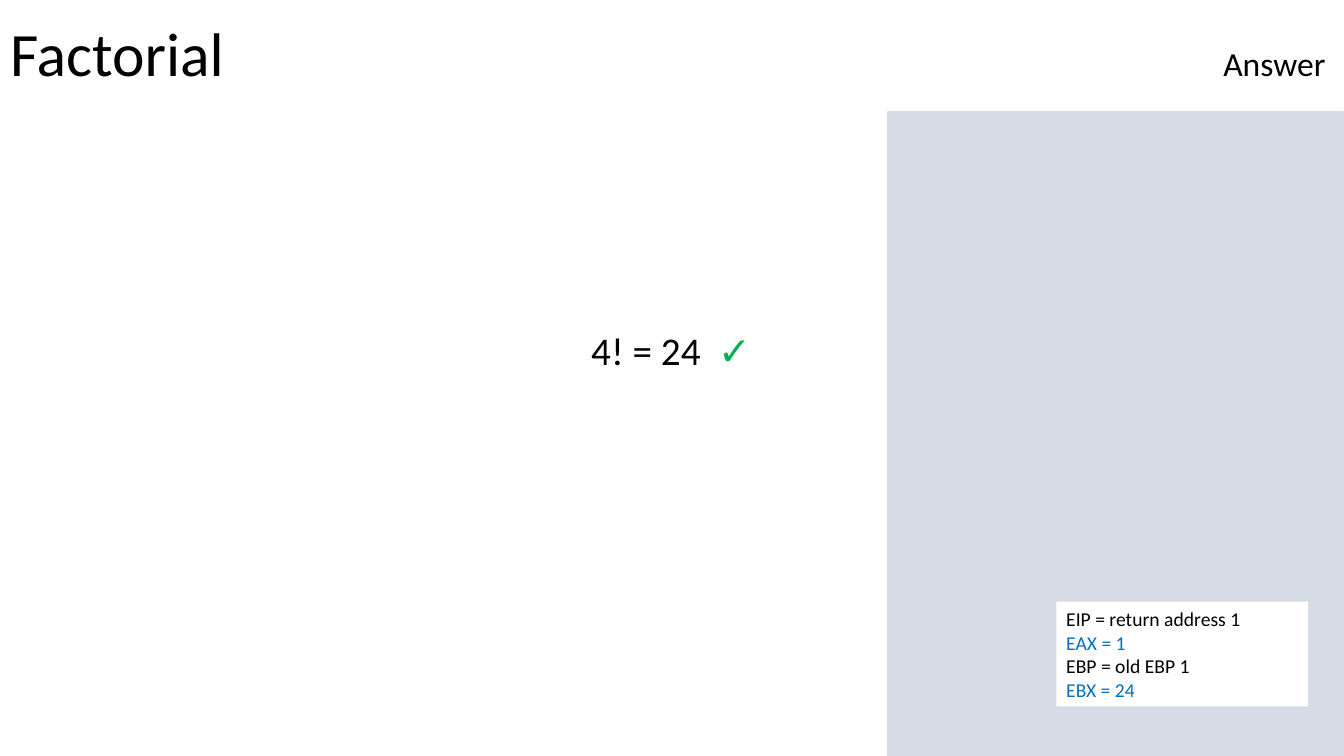
from lxml import etree
from pptx import Presentation
from pptx.dml.color import RGBColor
from pptx.enum.shapes import MSO_SHAPE
from pptx.enum.text import MSO_ANCHOR, MSO_AUTO_SIZE, PP_ALIGN
from pptx.oxml.ns import qn
from pptx.util import Cm, Pt

RECT = MSO_SHAPE.RECTANGLE
LEFT = PP_ALIGN.LEFT
MIDDLE = MSO_ANCHOR.MIDDLE
NO_FIT = MSO_AUTO_SIZE.NONE
TITLE_ONLY = 5

FONT = "Calibri"
BLACK, WHITE = "000000", "FFFFFF"
BLUE, GREEN, GREY = "0070C0", "00B050", "D6DCE5"


def paint(color, value):
    color.rgb = RGBColor.from_string(value)


def style(font, size, color):
    font.name = FONT
    font.size = Pt(size)
    paint(font.color, color)


def add_title(slide, left_part, right_part):
    title = slide.shapes.title
    title.left, title.top = Cm(0), Cm(-0.41)
    title.width, title.height = Cm(33.87), Cm(3.68)
    frame = title.text_frame
    frame.auto_size = NO_FIT
    frame.vertical_anchor = MIDDLE
    para = frame.paragraphs[0]
    para.alignment = LEFT
    para.line_spacing = 0.9

    # A right tab stop holds the second part at the slide edge
    props = para._p.get_or_add_pPr()
    tabs = etree.SubElement(props, qn("a:tabLst"))
    etree.SubElement(tabs, qn("a:tab"), pos=str(Cm(33.15)), algn="r")

    for text, size in ((left_part + "\t", 44), (right_part, 24)):
        run = para.add_run()
        run.text = text
        style(run.font, size, BLACK)


def fill_text(frame, lines, size):
    frame.word_wrap = True
    for i, (text, color) in enumerate(lines):
        para = frame.add_paragraph() if i else frame.paragraphs[0]
        para.text = text
        para.alignment = LEFT
        style(para.font, size, color)


def add_label(slide, left, width, text, color):
    box = slide.shapes.add_textbox(Cm(left), Cm(8.1), Cm(width), Cm(1.45))
    fill_text(box.text_frame, [(text, color)], 28)


def add_panel(slide, left, top, width, height, fill, line=None):
    panel = slide.shapes.add_shape(
        RECT, Cm(left), Cm(top), Cm(width), Cm(height))
    panel.shadow.inherit = False
    panel.fill.solid()
    paint(panel.fill.fore_color, fill)
    if line:
        paint(panel.line.color, line)
        panel.line.width = Pt(1.5)
    else:
        panel.line.fill.background()
    return panel


def main():
    deck = Presentation()
    deck.slide_width, deck.slide_height = Cm(33.87), Cm(19.05)
    slide = deck.slides.add_slide(deck.slide_layouts[TITLE_ONLY])

    # Heading
    add_title(slide, "Factorial", "Answer")

    # Result with its check mark
    add_label(slide, 14.65, 3.5, "4! = 24", BLACK)
    add_label(slide, 17.85, 1.5, "✓", GREEN)

    # Stack area and register values
    add_panel(slide, 22.38, 2.82, 11.46, 16.23, GREY, GREY)
    card = add_panel(slide, 26.62, 15.16, 6.35, 2.64, WHITE)
    fill_text(card.text_frame, [
        ("EIP = return address 1", BLACK),
        ("EAX = 1", BLUE),
        ("EBP = old EBP 1", BLACK),
        ("EBX = 24", BLUE),
    ], 14)

    deck.save("out.pptx")


if __name__ == "__main__":
    main()
